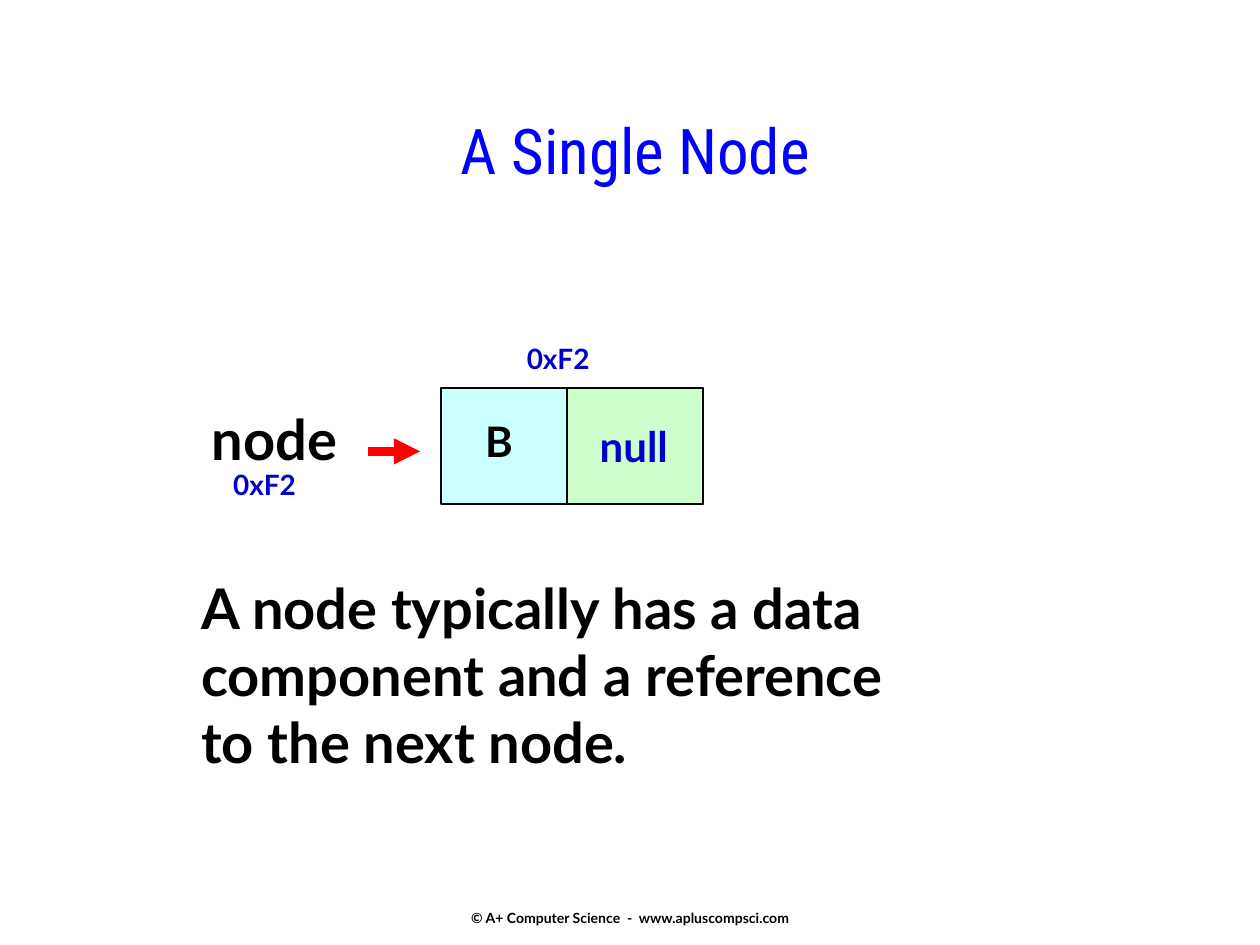
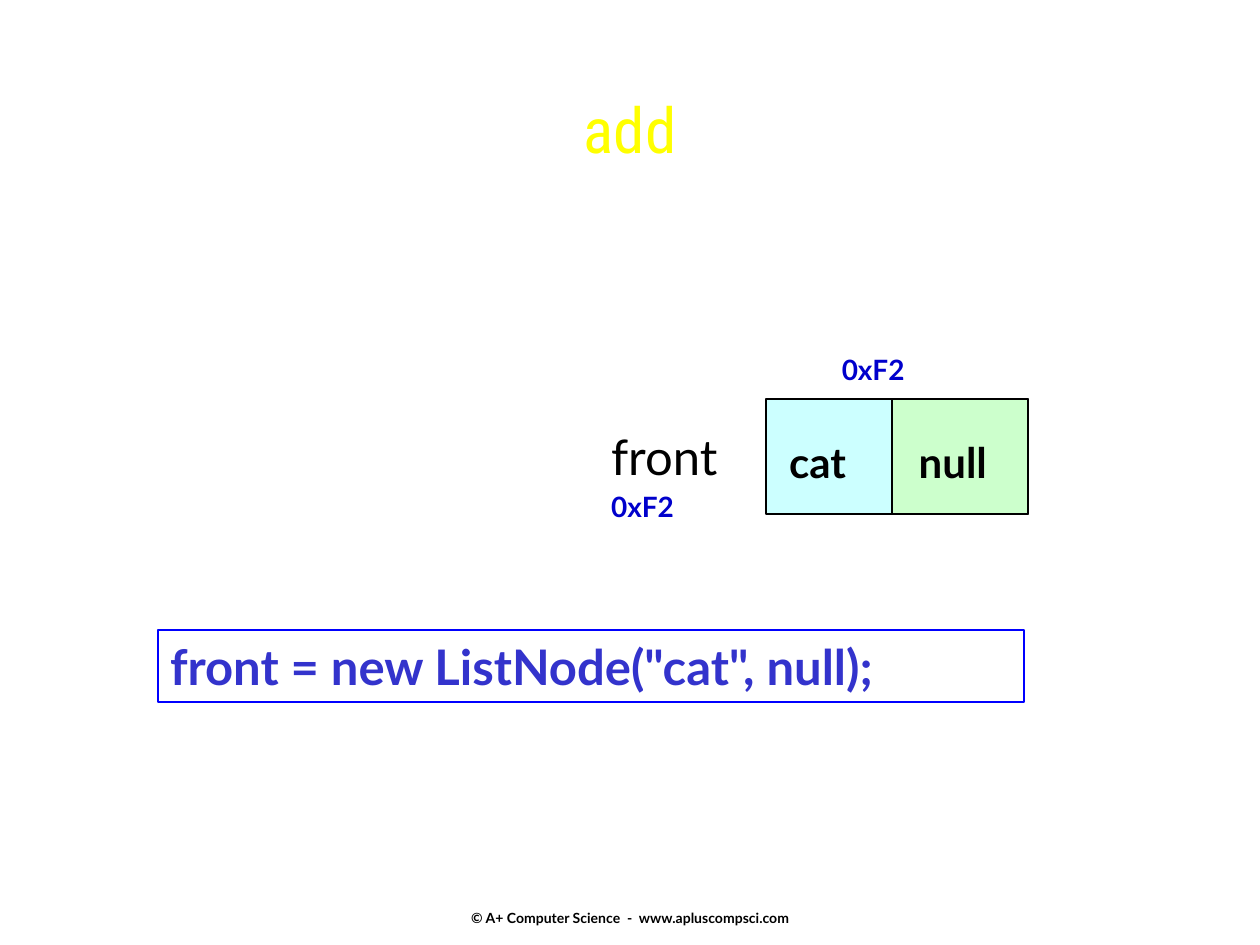
import pptx
import pptx.dml.color
import pptx.enum.shapes
import pptx.enum.text
import pptx.oxml
import pptx.oxml.ns
import pptx.util

Cm = pptx.util.Cm
BLACK = "000000"
BLUE = "0000FF"
NAVY = "0000CC"
INDIGO = "3333CC"
RED = "FF0000"
YELLOW = "FFFF00"
DATA_FILL = "CCFFFF"
LINK_FILL = "CCFFCC"


def color(hex_string):
    return pptx.dml.color.RGBColor.from_string(hex_string)


class Deck:
    body_font = "Lato"
    title_font = "Roboto Condensed"
    footer = "© A+ Computer Science  -  www.apluscompsci.com"
    data_width = 2.54
    link_width = 2.74
    node_height = 2.33

    def __init__(self):
        self.presentation = pptx.Presentation()
        self.presentation.slide_width = Cm(25.4)
        self.presentation.slide_height = Cm(19.05)
        self.slide = None

    def fill_text(self, shape, lines, size, text_color, bold=True, font=body_font,
                  align=pptx.enum.text.PP_ALIGN.LEFT, anchor=pptx.enum.text.MSO_ANCHOR.TOP):
        frame = shape.text_frame
        frame.word_wrap = True
        frame.auto_size = pptx.enum.text.MSO_AUTO_SIZE.NONE
        frame.vertical_anchor = anchor
        for index, line in enumerate(lines):
            paragraph = frame.add_paragraph() if index else frame.paragraphs[0]
            paragraph.alignment = align
            run = paragraph.add_run()
            run.text = line
            run.font.name = font
            run.font.size = pptx.util.Pt(size)
            run.font.bold = bold
            run.font.color.rgb = color(text_color)

    def add_slide(self, title, title_color, left, top, width):
        self.slide = self.presentation.slides.add_slide(self.presentation.slide_layouts[5])
        shape = self.slide.shapes.title
        shape.left, shape.top, shape.width, shape.height = Cm(left), Cm(top), Cm(width), Cm(2.96)
        center = pptx.enum.text.PP_ALIGN.CENTER
        self.fill_text(shape, [title], 36, title_color, False, self.title_font, center)
        self.text([self.footer], 8.68, 18.2, 8.06, 0.6, 8, align=center,
                  anchor=pptx.enum.text.MSO_ANCHOR.MIDDLE)

    def text(self, lines, left, top, width, height, size, text_color=BLACK, **style):
        shape = self.slide.shapes.add_textbox(Cm(left), Cm(top), Cm(width), Cm(height))
        self.fill_text(shape, lines, size, text_color, **style)

    def address(self, left, top):
        self.text(["0xF2"], left, top, 2.75, 0.94, 16, NAVY)

    def rectangle(self, left, top, width, height, fill=None, line=BLACK):
        shape = self.slide.shapes.add_shape(
            pptx.enum.shapes.MSO_SHAPE.RECTANGLE, Cm(left), Cm(top), Cm(width), Cm(height))
        shape.shadow.inherit = False
        if fill:
            shape.fill.solid()
            shape.fill.fore_color.rgb = color(fill)
        else:
            shape.fill.background()
        shape.line.color.rgb = color(line)
        shape.line.width = pptx.util.Pt(1)
        return shape

    def node(self, left, top):
        self.rectangle(left, top, self.data_width + self.link_width, self.node_height, DATA_FILL)
        self.rectangle(left + self.data_width, top, self.link_width, self.node_height, LINK_FILL)

    def code(self, line, left, top, width, height):
        shape = self.rectangle(left, top, width, height, line=BLUE)
        self.fill_text(shape, [line], 28, INDIGO)

    def arrow(self, start, end, y):
        connector = self.slide.shapes.add_connector(
            pptx.enum.shapes.MSO_CONNECTOR.STRAIGHT, Cm(start), Cm(y), Cm(end), Cm(y))
        connector.line.color.rgb = color(RED)
        connector.line.width = pptx.util.Pt(5)
        namespace = pptx.oxml.ns.nsdecls("a")
        properties = connector.line._get_or_add_ln()
        properties.append(pptx.oxml.parse_xml(f'<a:tailEnd {namespace} type="triangle"/>'))
        properties.addnext(pptx.oxml.parse_xml(f"<a:effectLst {namespace}/>"))


def single_node_slide(deck):
    deck.add_slide("A Single Node", BLUE, 2.33, 2.12, 20.96)
    deck.arrow(7.41, 8.47, 9.1)
    deck.node(8.89, 7.83)
    deck.text(["B"], 9.53, 8.26, 2.33, 1.27, 24)
    deck.text(["null"], 11.84, 8.36, 2.75, 1.27, 24, NAVY)
    deck.text(["node"], 4.02, 8.04, 3.6, 1.6, 32)
    deck.address(4.45, 9.31)
    deck.address(10.37, 6.77)
    deck.text(["A node typically has a data", "component and a reference", "to the next node."],
              3.81, 11.43, 16.05, 4.32, 32)


def add_method_slide(deck):
    deck.add_slide("add", YELLOW, 3.6, 1.69, 18.2)
    deck.node(15.45, 8.04)
    deck.text(["cat"], 15.66, 8.68, 2.33, 1.27, 24)
    deck.text(["null"], 18.27, 8.68, 2.75, 1.27, 24)
    deck.code('front = new ListNode("cat", null);', 3.18, 12.7, 17.46, 1.45)
    deck.text(["front"], 12.07, 8.47, 2.75, 1.45, 28, bold=False)
    deck.address(12.07, 9.74)
    deck.address(16.72, 6.98)


def main():
    deck = Deck()
    single_node_slide(deck)
    add_method_slide(deck)
    deck.presentation.save("out.pptx")


if __name__ == "__main__":
    main()
